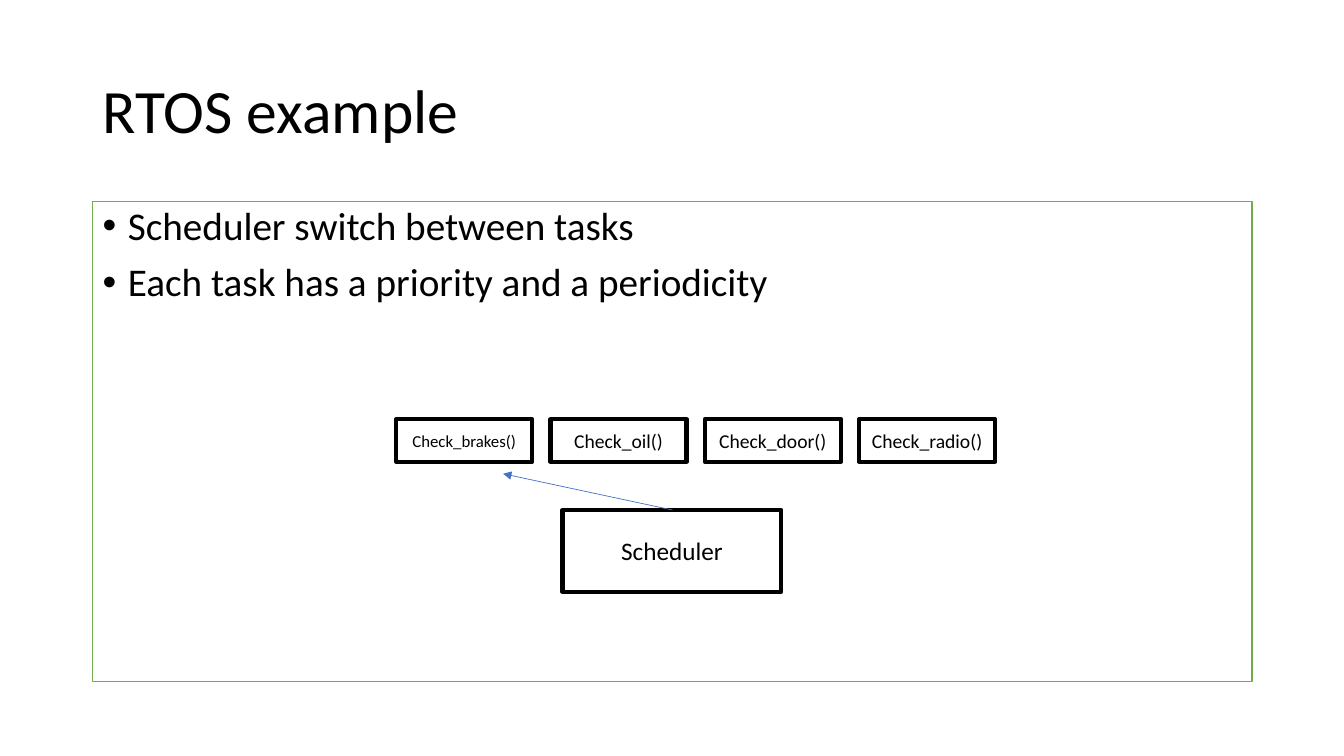
"""Build the RTOS example slide: a scheduler switching between four tasks."""
from dataclasses import dataclass
from lxml.etree import SubElement
from pptx import Presentation
from pptx.dml.color import RGBColor as RGB
from pptx.enum.shapes import MSO_CONNECTOR as LINK, MSO_SHAPE as SHAPE
from pptx.enum.text import MSO_ANCHOR as ANCHOR, PP_ALIGN as ALIGN
from pptx.oxml.ns import qn
from pptx.util import Inches, Pt


@dataclass(frozen=True)
class Theme:
    font: str = "Calibri"
    ink: RGB = RGB(0, 0, 0)
    paper: RGB = RGB(255, 255, 255)
    green: RGB = RGB.from_string("70AD47")
    blue: RGB = RGB.from_string("4472C4")
    title: int = 44
    body: int = 28
    label: int = 18
    task: int = 14
    small: int = 12


theme = Theme()


def add_text(para, text, size, align):
    para.alignment = align
    run = para.add_run()
    run.text = text
    run.font.name = theme.font
    run.font.size = Pt(size)
    run.font.color.rgb = theme.ink


def add_box(left, top, width, height, color, weight):
    box = slide.shapes.add_shape(
        SHAPE.RECTANGLE, Inches(left), Inches(top), Inches(width), Inches(height))
    box.shadow.inherit = False
    box.fill.solid()
    box.fill.fore_color.rgb = theme.paper
    box.line.color.rgb = color
    box.line.width = Pt(weight)
    box.text_frame.word_wrap = True
    box.text_frame.vertical_anchor = ANCHOR.MIDDLE
    return box.text_frame


deck = Presentation()
deck.slide_width, deck.slide_height = Inches(13.33), Inches(7.5)
slide = deck.slides.add_slide(deck.slide_layouts[5])

title = slide.shapes.title
title.left, title.top = Inches(0.92), Inches(0.4)
title.width, title.height = Inches(11.5), Inches(1.45)
title.text_frame.vertical_anchor = ANCHOR.MIDDLE
head = title.text_frame.paragraphs[0]
head.line_spacing = 0.9
add_text(head, "RTOS example", theme.title, ALIGN.LEFT)

body = add_box(0.92, 2, 11.5, 4.76, theme.green, 1)
body.vertical_anchor = ANCHOR.TOP
points = ["Scheduler switch between tasks",
          "Each task has a priority and a periodicity"]
for i, point in enumerate(points):
    para = body.add_paragraph() if i else body.paragraphs[0]
    para.line_spacing = 0.9
    para.space_before = Pt(10)
    add_text(para, point, theme.body, ALIGN.LEFT)
    props = para._p.get_or_add_pPr()
    props.set("marL", str(Inches(0.25)))
    props.set("indent", str(Inches(-0.25)))
    SubElement(props, qn("a:buFont"), typeface="Arial")
    SubElement(props, qn("a:buChar"), char="•")

hub = add_box(5.58, 5.06, 2.17, 0.81, theme.ink, 3)
add_text(hub.paragraphs[0], "Scheduler", theme.label, ALIGN.CENTER)

tasks = [("Check_brakes()", theme.small), ("Check_oil()", theme.task),
         ("Check_door()", theme.task), ("Check_radio()", theme.task)]
for i, (name, size) in enumerate(tasks):
    task = add_box(3.93 + 1.53 * i, 4.16, 1.35, 0.42, theme.ink, 3)
    add_text(task.paragraphs[0], name, size, ALIGN.CENTER)

arrow = slide.shapes.add_connector(
    LINK.STRAIGHT, Inches(6.67), Inches(5.06), Inches(4.99), Inches(4.7))
arrow.line.color.rgb = theme.blue
arrow.line.width = Pt(0.5)
SubElement(arrow.line._get_or_add_ln(), qn("a:tailEnd"), type="triangle")
SubElement(arrow._element.spPr, qn("a:effectLst"))

deck.save("out.pptx")
